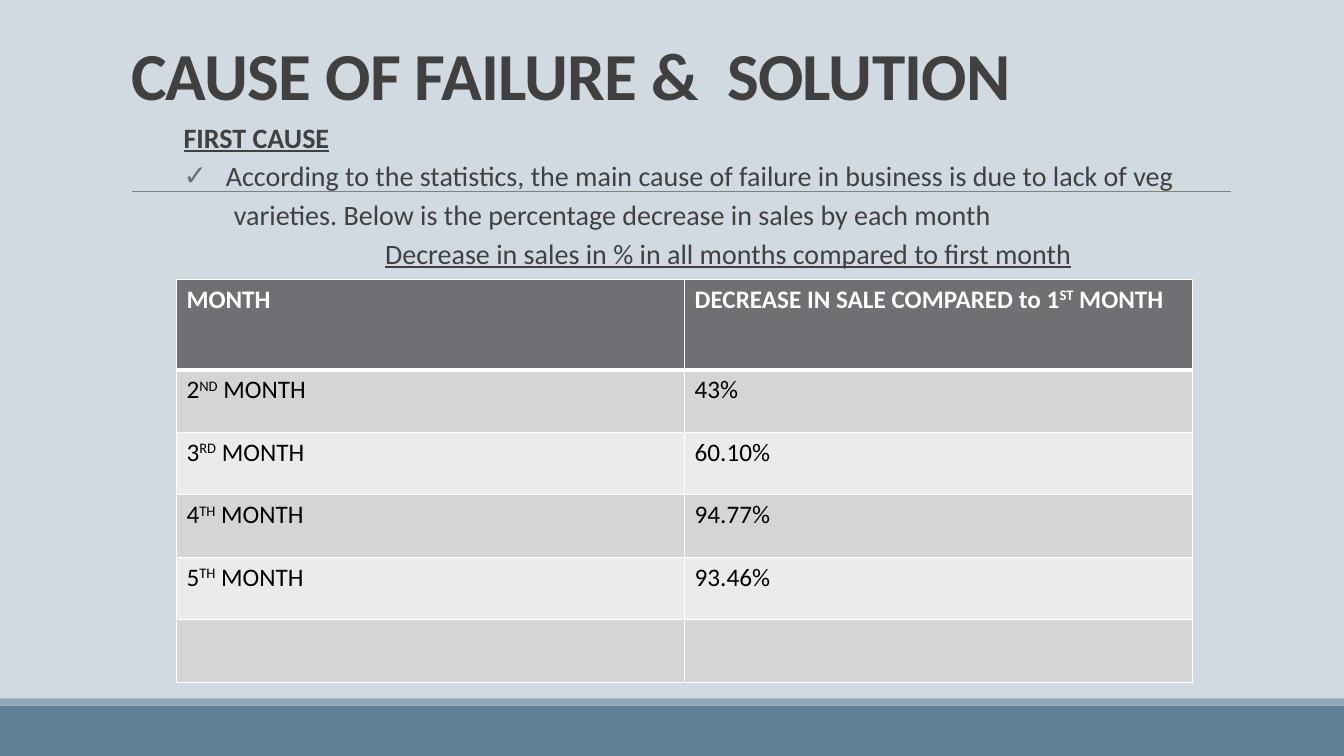
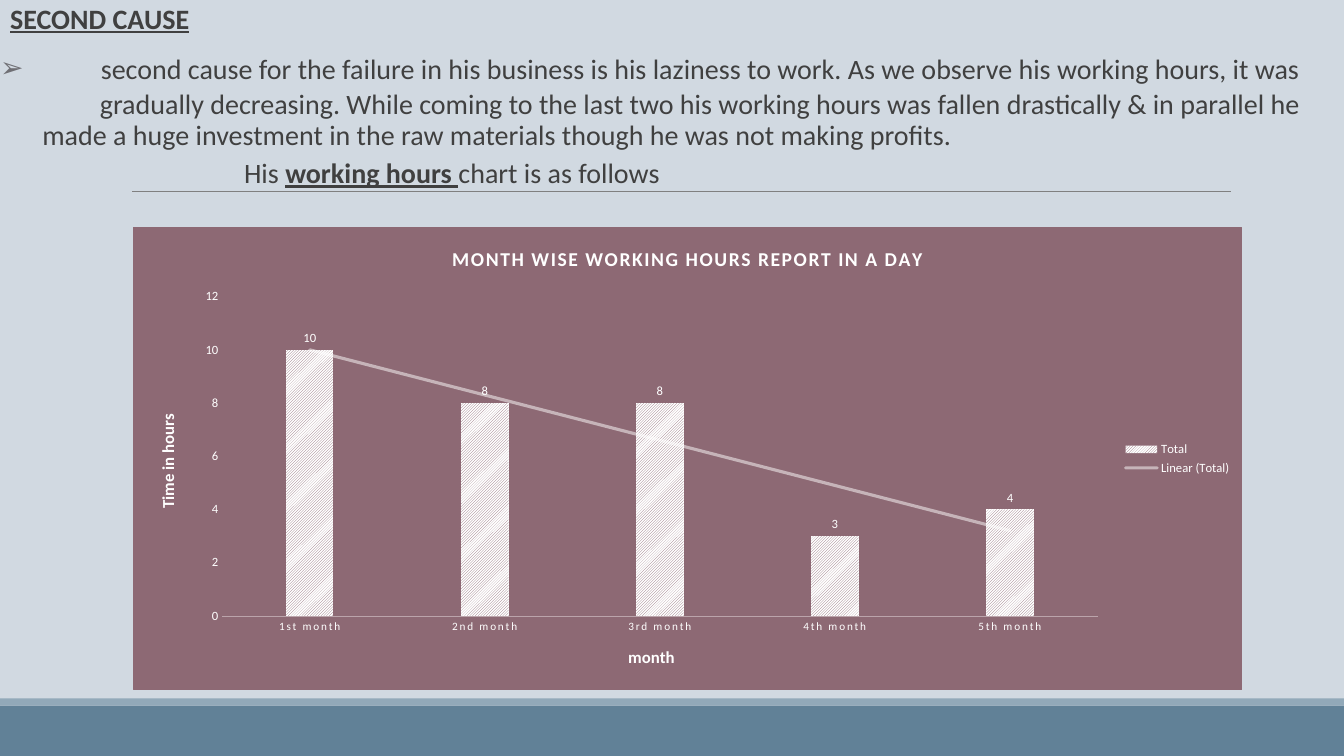
from lxml import etree
from pptx import Presentation
from pptx.chart.data import CategoryChartData
from pptx.dml.color import RGBColor
from pptx.enum.chart import XL_CHART_TYPE, XL_LABEL_POSITION, XL_LEGEND_POSITION, XL_TICK_MARK
from pptx.enum.dml import MSO_PATTERN
from pptx.enum.shapes import MSO_CONNECTOR, MSO_SHAPE
from pptx.enum.text import MSO_ANCHOR, MSO_AUTO_SIZE, PP_ALIGN
from pptx.oxml import parse_xml
from pptx.oxml.ns import nsdecls, qn
from pptx.util import Pt

PX = 9144
WIDE, HIGH = 1333, 750
FONT = "Calibri"

PALE = RGBColor(0xD1, 0xD9, 0xE1)
STEEL = RGBColor(0x61, 0x81, 0x97)
MIST = RGBColor(0x92, 0xA9, 0xB9)
RULE = RGBColor(0x80, 0x80, 0x80)
INK = RGBColor(0x40, 0x40, 0x40)
HEAD = RGBColor(0x6F, 0x6F, 0x74)
ODD = RGBColor(0xD5, 0xD5, 0xD6)
EVEN = RGBColor(0xEB, 0xEB, 0xEB)
WHITE = RGBColor(0xFF, 0xFF, 0xFF)
BLACK = RGBColor(0, 0, 0)
PLUM = RGBColor(0x8D, 0x69, 0x74)
ROSE = RGBColor(0xBB, 0xA4, 0xAB)

COLUMN = XL_CHART_TYPE.COLUMN_CLUSTERED
OUTSIDE = XL_LABEL_POSITION.OUTSIDE_END
RIGHT = XL_LEGEND_POSITION.RIGHT
NO_TICK = XL_TICK_MARK.NONE
HATCH = MSO_PATTERN.LIGHT_UPWARD_DIAGONAL
STRAIGHT = MSO_CONNECTOR.STRAIGHT
RECT = MSO_SHAPE.RECTANGLE
TOP, BOTTOM = MSO_ANCHOR.TOP, MSO_ANCHOR.BOTTOM
NO_FIT = MSO_AUTO_SIZE.NONE
LEFT = PP_ALIGN.LEFT


def px(*vals):
    return [val * PX for val in vals]


def style(font, size, color, bold=False, line=None):
    font.name, font.size, font.bold = FONT, Pt(size), bold
    font.color.rgb = color
    if line is not None:
        font.underline = line


def raised(run):
    run._r.get_or_add_rPr().set("baseline", "30000")


def strong(run):
    run.font.bold = run.font.underline = True


def write(par, text, mark=None):
    for num, part in enumerate(text.split("|")):
        run = par.add_run()
        run.text = part
        if num % 2:
            mark(run)


class Deck:
    def __init__(self):
        self.prs = Presentation()
        self.prs.slide_width, self.prs.slide_height = px(WIDE, HIGH)
        self.slide = None

    def add(self):
        self.slide = self.prs.slides.add_slide(self.prs.slide_layouts[1])

    def band(self, top, high, color):
        box = self.slide.shapes.add_shape(RECT, *px(0, top, WIDE, high))
        box.shadow.inherit = False
        box.fill.solid()
        box.fill.fore_color.rgb = color
        box.line.fill.background()
        return box

    def rule(self, left, right, top):
        line = self.slide.shapes.add_connector(STRAIGHT, *px(left, top, right, top))
        line.line.color.rgb = RULE
        line.line.width = Pt(0.5)
        etree.SubElement(line.element.spPr, qn("a:effectLst"))
        return line

    def master(self):
        base = self.prs.slide_master
        base.background.fill.solid()
        base.background.fill.fore_color.rgb = PALE
        parts = [self.band(700, 50, STEEL), self.band(693, 7, MIST), self.rule(131, 1221, 190)]
        for spot, part in enumerate(parts, 2):
            base.shapes.element.insert(spot, part.element)

    def place(self, shape, area, anchor):
        shape.left, shape.top, shape.width, shape.height = px(*area)
        frame = shape.text_frame
        frame.auto_size, frame.word_wrap = NO_FIT, True
        frame.vertical_anchor = anchor
        return frame

    def title(self, text, area):
        shape = self.slide.shapes.title
        if not text:
            shape.element.getparent().remove(shape.element)
            return
        par = self.place(shape, area, BOTTOM).paragraphs[0]
        par.alignment, par.line_spacing = LEFT, 0.85
        style(par.font, 48, INK, True)
        write(par, text)
        par.runs[0]._r.get_or_add_rPr().set("spc", "-50")

    def body(self, area, rows):
        frame = self.place(self.slide.placeholders[1], area, TOP)
        frame.margin_left = frame.margin_right = 0
        for num, (text, left, first, sign, gaps, bold, line) in enumerate(rows):
            par = frame.add_paragraph() if num else frame.paragraphs[0]
            prop = par._p.get_or_add_pPr()
            prop.set("marL", str(left * PX))
            prop.set("indent", str(first * PX))
            if sign:
                tint = etree.SubElement(prop, qn("a:buClr"))
                etree.SubElement(tint, qn("a:srgbClr"), val=str(HEAD))
                etree.SubElement(prop, qn("a:buChar"), char=sign)
            else:
                etree.SubElement(prop, qn("a:buNone"))
            par.alignment, par.line_spacing = LEFT, 0.9
            par.space_before, par.space_after = [Pt(gap) for gap in gaps]
            style(par.font, 20, INK, bold, line)
            write(par, text, strong)

    def edge(self, cell, side, width):
        prop = cell._tc.get_or_add_tcPr()
        prop.append(parse_xml(
            f'<a:{side} {nsdecls("a")} w="{Pt(width)}"><a:solidFill>'
            f'<a:srgbClr val="{WHITE}"/></a:solidFill></a:{side}>'))

    def table(self, left, top, wide, highs, rows):
        cols = len(rows[0])
        grid = self.slide.shapes.add_table(
            len(rows), cols, *px(left, top, wide * cols, sum(highs))).table
        for col in grid.columns:
            col.width = wide * PX
        for num, row in enumerate(rows):
            grid.rows[num].height = highs[num] * PX
            for col, text in enumerate(row):
                cell = grid.cell(num, col)
                for side in ("lnL", "lnR", "lnT", "lnB"):
                    thick = (num, side) in ((0, "lnB"), (1, "lnT"))
                    self.edge(cell, side, 3 if thick else 1)
                cell.fill.solid()
                cell.fill.fore_color.rgb = (ODD if num % 2 else EVEN) if num else HEAD
                par = cell.text_frame.paragraphs[0]
                style(par.font, 18, BLACK if num else WHITE, not num)
                if text:
                    write(par, text, raised)

    def label(self, owner, text, size):
        frame = owner.text_frame
        par = frame.paragraphs[0]
        style(par.font, size, WHITE, True)
        write(par, text)
        return par.runs[0]

    def axis(self, axis, text, size):
        axis.has_major_gridlines = False
        axis.major_tick_mark = axis.minor_tick_mark = NO_TICK
        style(axis.tick_labels.font, size, WHITE)
        self.label(axis.axis_title, text, 12)

    def chart(self, area, head, names, title, cats, vals):
        data = CategoryChartData()
        data.categories = cats
        data.add_series(title, vals)
        chart = self.slide.shapes.add_chart(COLUMN, *px(*area), data).chart
        style(chart.font, 10, WHITE)
        run = self.label(chart.chart_title, head, 14)
        run._r.get_or_add_rPr().set("spc", "100")
        chart.chart_title.include_in_layout = False
        chart.has_legend = True
        chart.legend.position, chart.legend.include_in_layout = RIGHT, False
        style(chart.legend.font, 9, WHITE)

        cat, val = chart.category_axis, chart.value_axis
        self.axis(cat, names[0], 8)
        self.axis(val, names[1], 9)
        cat.format.line.color.rgb = ROSE
        cat.format.line.width = Pt(0.25)
        val.format.line.fill.background()
        val.minimum_scale, val.maximum_scale, val.major_unit = 0, 12, 2
        cat._element.find(".//" + qn("c:txPr")).find(".//" + qn("a:defRPr")).set("spc", "120")

        plot = chart.plots[0]
        plot.gap_width, plot.overlap, plot.vary_by_categories = 269, -20, False
        bars = plot.series[0]
        fill = bars.format.fill
        fill.patterned()
        fill.pattern = HATCH
        fill.fore_color.rgb, fill.back_color.rgb = PLUM, WHITE
        tags = bars.data_labels
        tags.show_value, tags.position = True, OUTSIDE
        style(tags.font, 9, WHITE)
        self.trend(bars)
        self.panel(chart)

    def trend(self, bars):
        bars._element.find(qn("c:cat")).addprevious(parse_xml(
            f'<c:trendline {nsdecls("c", "a")}><c:spPr><a:ln w="{Pt(2.25)}" cap="rnd">'
            f'<a:solidFill><a:srgbClr val="{WHITE}"><a:alpha val="50000"/></a:srgbClr>'
            '</a:solidFill></a:ln></c:spPr><c:trendlineType val="linear"/>'
            '<c:dispRSqr val="0"/><c:dispEq val="0"/></c:trendline>'))

    def panel(self, chart):
        root = chart._chartSpace.find(qn("c:chart"))
        paint = f'<a:solidFill><a:srgbClr val="{PLUM}"/></a:solidFill>'
        root.addnext(parse_xml(
            f'<c:spPr {nsdecls("c", "a")}>{paint}<a:ln w="{Pt(0.75)}">{paint}</a:ln></c:spPr>'))
        area = root.find(qn("c:plotArea"))
        for old in area.findall(qn("c:layout")):
            area.remove(old)
        sizes = "".join(f'<c:{key} val="{val}"/>' for key, val in
                        (("x", 0.08), ("y", 0.15), ("w", 0.79), ("h", 0.69)))
        area.insert(0, parse_xml(
            f'<c:layout {nsdecls("c")}><c:manualLayout><c:layoutTarget val="inner"/>'
            f'<c:xMode val="edge"/><c:yMode val="edge"/>{sizes}</c:manualLayout></c:layout>'))


def main():
    deck = Deck()
    tight, loose = (2, 4), (12, 2)

    deck.add()
    deck.master()
    deck.title("CAUSE OF FAILURE &  SOLUTION", (120, 0, 1100, 118))
    deck.body((120, 118, 1100, 523), [
        ("FIRST CAUSE", 62, 0, None, tight, True, True),
        ("According to the statistics, the main cause of failure in business is due to lack of veg",
         104, -42, "✓", tight, False, False),
        ("varieties. Below is the percentage decrease in sales by each month",
         112, 0, None, tight, False, False),
        ("Decrease in sales in % in all months compared to first month",
         262, 0, None, tight, False, True),
    ])
    deck.table(175, 277, 504, [90] + [62] * 5, [
        ("MONTH", "DECREASE IN SALE COMPARED to 1|ST| MONTH"),
        ("2|ND| MONTH", "43%"),
        ("3|RD| MONTH", "60.10%"),
        ("4|TH| MONTH", "94.77%"),
        ("5|TH| MONTH", "93.46%"),
        ("", ""),
    ])

    deck.add()
    deck.title(None, None)
    deck.body((0, 0, 1313, 683), [
        ("SECOND CAUSE", 10, 0, None, loose, True, True),
        ("second cause for the failure in his business is his laziness to work. "
         "As we observe his working hours, it was", 100, -100, "➢", loose, False, False),
        ("gradually decreasing. While coming to the last two his working hours was fallen "
         "drastically & in parallel he made a huge investment in the raw materials though "
         "he was not making profits.", 42, 57, None, tight, False, False),
        ("His |working hours |chart is as follows", 242, 0, None, tight, False, False),
    ])
    deck.chart((132, 225, 1100, 460), "MONTH WISE WORKING HOURS REPORT IN A DAY",
               ("month", "Time in hours"), "Total",
               ("1st month", "2nd month", "3rd month", "4th month", "5th month"),
               (10, 8, 8, 3, 4))

    deck.prs.save("out.pptx")


if __name__ == "__main__":
    main()
